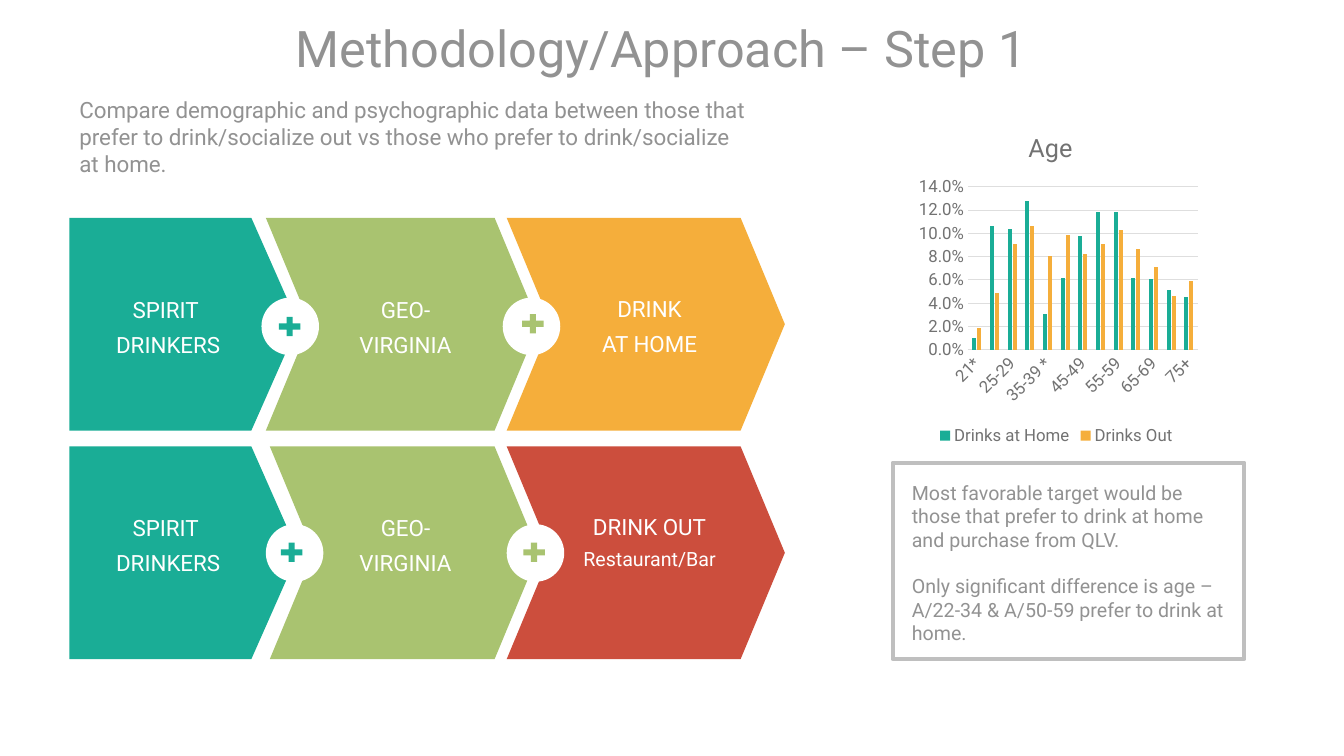
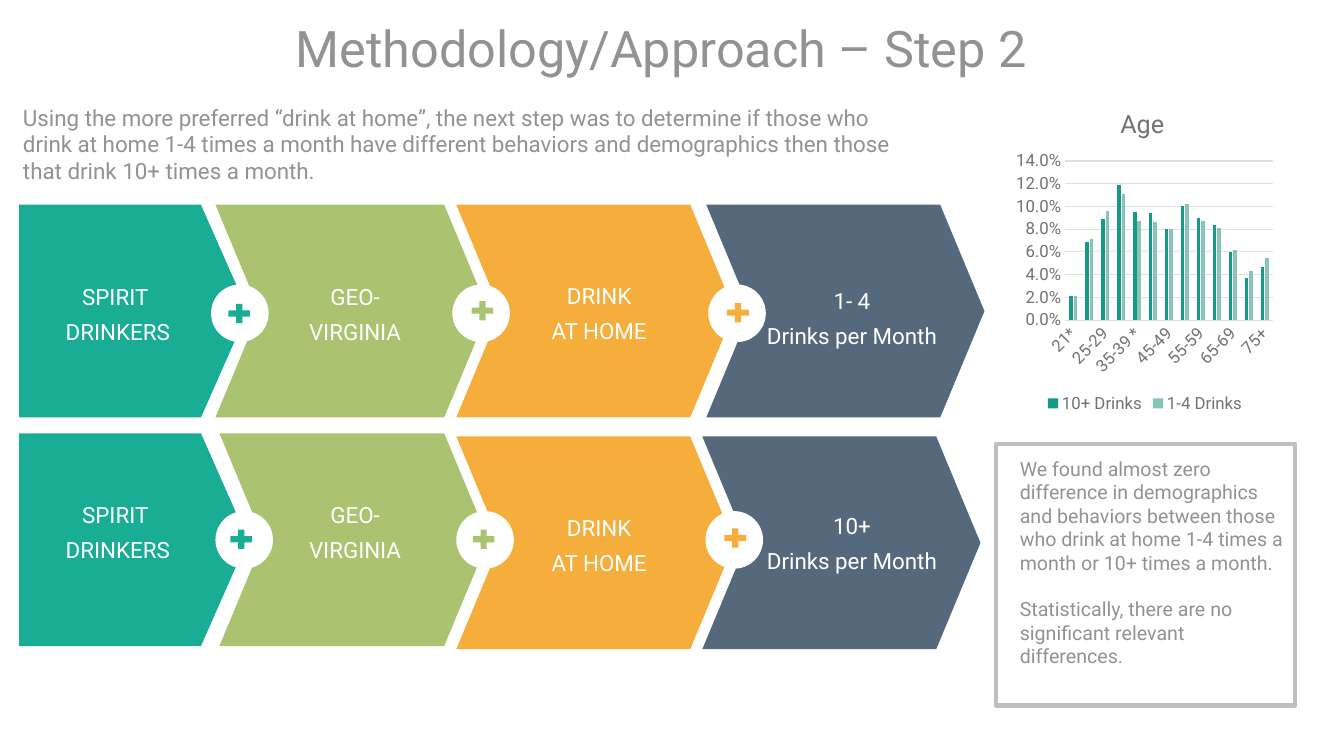
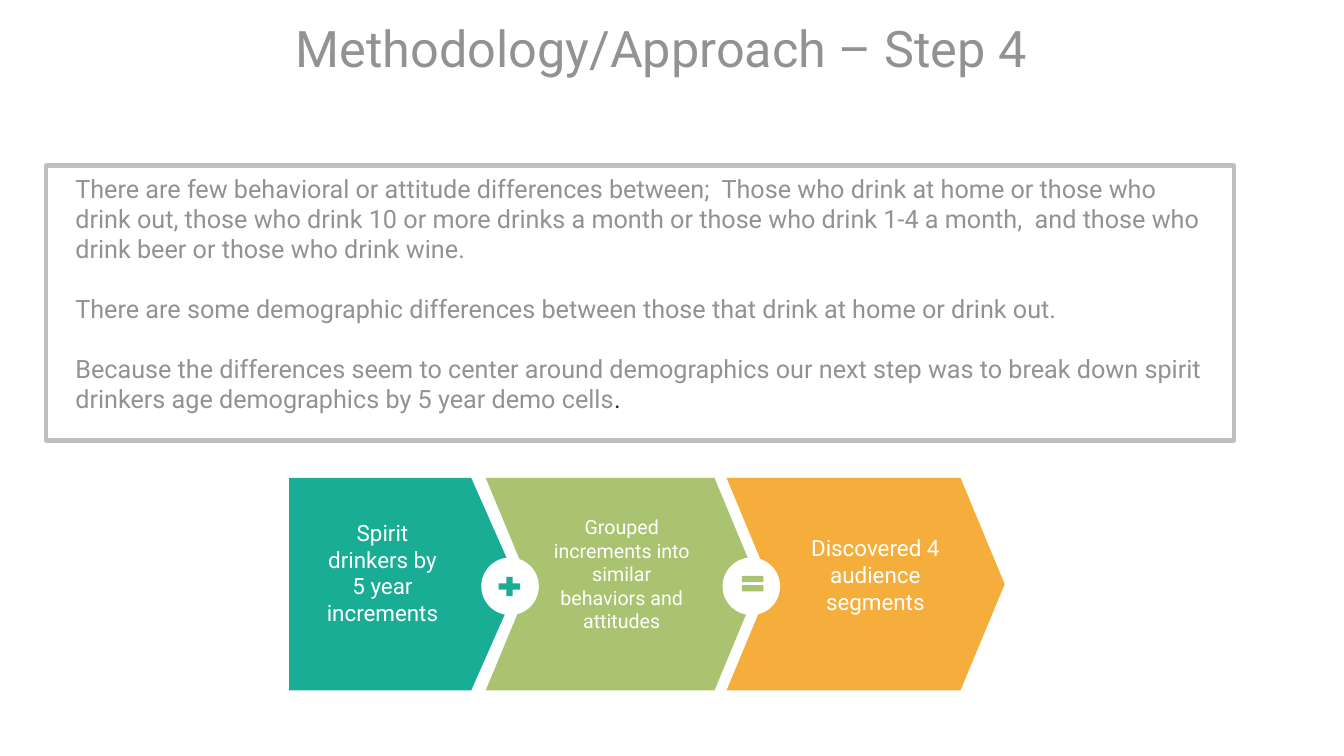
"""Build three methodology slides with step arrows, age charts and findings."""
from lxml.etree import SubElement
from pptx import Presentation
from pptx.chart.data import CategoryChartData as Data
from pptx.dml.color import RGBColor as Rgb
from pptx.enum.chart import XL_CHART_TYPE as Kind, XL_LEGEND_POSITION as Spot, XL_TICK_MARK as Tick
from pptx.enum.shapes import MSO_SHAPE as Form
from pptx.enum.text import MSO_ANCHOR as Anchor, PP_ALIGN as Align
from pptx.oxml.ns import qn
from pptx.util import Cm, Pt

HUES = {
    "teal": "1AAD96", "green": "A9C370", "gold": "F5AE3B", "red": "CC4E3D",
    "slate": "56687C", "white": "FFFFFF", "grey": "929292", "frame": "BFBFBF",
    "dark": "262626", "axis": "727272", "grid": "DEDEDE", "deep": "179A85", "pale": "88C4B5",
}
HUES = {name: Rgb.from_string(code) for name, code in HUES.items()}
FONT = "Roboto"
HEAD = {"alignment": Align.CENTER, "line_spacing": 0.9}
PAIR = {"alignment": Align.CENTER, "line_spacing": 1.3}
MID = {"alignment": Align.CENTER}
AGES = ["21*", "22-24", "25-29", "30-34", "35-39 *", "40-44 *", "45-49",
        "50-54", "55-59", "60-64", "65-69", "70-74", "75+"]

WIDE = {"left": [0, 4.95, 11.02, 17.32], "width": [5.77, 6.88, 7.01, 7.01],
        "ball": [4.84, 10.92, 17.37], "rise": 2.01,
        "mark": [(5.18, 2.41), (11.31, 2.34), (17.75, 2.39)]}
SLIM = {"left": [0, 5.05, 11.02, 17.22], "width": [5.77, 6.78, 7.01, 7.01],
        "ball": [4.95, 11.02, 17.3], "rise": 1.96,
        "mark": [(5.23, 2.34), (11.34, 2.34), (17.68, 2.31)]}
MIDS = [2.49, 8.47, 14.62, 20.99]

SPIRIT = ["SPIRIT ", "DRINKERS"]
GEO = ["GEO-", "VIRGINIA"]
HOME = ["DRINK", "AT HOME"]
OUT = ["DRINK OUT", [("Restaurant/Bar", {"size": Pt(14)})]]
FEW = ["1- 4", "Drinks per Month"]
MANY = ["10+", "Drinks per Month"]

DECK = [
    {"step": 1,
     "intro": ((1.75, 2.31, 17.35, 2.31),
               "Compare demographic and psychographic data between those that prefer to "
               "drink/socialize out vs those who prefer to drink/socialize at home."),
     "frame": (22.5, 11.66, 8.86, 4.95), "body": (22.73, 11.99, 8.41, 4.45), "size": 14,
     "notes": ["Most favorable target would be those that prefer to drink at home and "
               "purchase from QLV.",
               "Only significant difference is age – A/22-34 & A/50-59 prefer to drink at home."],
     "rows": [
         (WIDE, 1.75, 5.49, 0, [("teal", SPIRIT, 1.65), ("green", GEO, 1.65), ("gold", HOME, 1.63)]),
         (SLIM, 1.75, 11.25, 0, [("teal", SPIRIT, 1.37), ("green", GEO, 1.37), ("red", OUT, 1.35)])],
     "chart": ((22.91, 2.95, 7.42, 8.38), [
         ("Drinks at Home", "teal", [0.01, 0.106, 0.104, 0.128, 0.031, 0.062, 0.098,
                                     0.118, 0.118, 0.062, 0.061, 0.051, 0.045]),
         ("Drinks Out", "gold", [0.019, 0.049, 0.091, 0.106, 0.081, 0.099, 0.082,
                                 0.091, 0.103, 0.087, 0.071, 0.046, 0.059])])},
    {"step": 2,
     "intro": ((0.33, 2.49, 22.43, 3.07),
               "Using the more preferred “drink at home”, the next step was to determine if "
               "those who drink at home 1-4 times a month have different behaviors and "
               "demographics then those that drink 10+ times a month."),
     "frame": (25.1, 11.18, 7.54, 6.6), "body": (25.45, 11.38, 7.16, 5.64), "size": 14,
     "notes": ["We found almost zero difference in demographics and behaviors between those "
               "who drink at home 1-4 times a month or 10+ times a month.",
               "Statistically, there are no significant relevant differences."],
     "rows": [
         (WIDE, 0.48, 5.16, 0, [("teal", SPIRIT, 1.65), ("green", GEO, 1.65),
                                ("gold", HOME, 1.63), ("slate", FEW, 1.76)]),
         (SLIM, 0.48, 10.92, 0.08, [("teal", SPIRIT, 1.37), ("green", GEO, 1.37),
                                    ("gold", HOME, 1.7), ("slate", MANY, 1.65)])],
     "chart": ((25.5, 2.34, 6.71, 8.18), [
         ("10+ Drinks", "deep", [0.021, 0.069, 0.089, 0.119, 0.095, 0.094, 0.08,
                                 0.1, 0.09, 0.084, 0.06, 0.037, 0.047]),
         ("1-4 Drinks", "pale", [0.021, 0.071, 0.096, 0.111, 0.087, 0.086, 0.08,
                                 0.102, 0.087, 0.081, 0.062, 0.043, 0.055])])},
    {"step": 4,
     "frame": (1.17, 4.17, 29.92, 6.93), "body": (1.65, 4.24, 28.93, 6.4), "size": 18,
     "notes": ["There are few behavioral or attitude differences between;  Those who drink at "
               "home or those who drink out, those who drink 10 or more drinks a month or those "
               "who drink 1-4 a month,  and those who drink beer or those who drink wine.",
               "There are some demographic differences between those that drink at home or "
               "drink out.",
               [("Because the differences seem to center around demographics our next step was "
                 "to break down spirit drinkers age demographics by 5 year demo cells", {}),
                (".", {"color": "dark"})]],
     "rows": [
         (WIDE, 7.29, 12.04, 0, [
             ("teal", ["Spirit drinkers by 5 year increments"], 0.91, 16, 3.38, 2.35),
             ("green", ["Grouped increments into similar behaviors and attitudes"], 0.81, 14, 4.17, 8.38),
             ("gold", ["Discovered 4 audience segments"], 1.3, 16, 4.39, 14.77)])]},
]


def draw(form, box, fill=None, line=None, adj=None):
    shape = slide.shapes.add_shape(form, *map(Cm, box))
    shape.shadow.inherit = False
    if adj:
        shape.adjustments[0] = adj
    if fill:
        shape.fill.solid()
        shape.fill.fore_color.rgb = HUES[fill]
    else:
        shape.fill.background()
    if line:
        shape.line.color.rgb = HUES[line]
        shape.line.width = Pt(3)
    else:
        shape.line.fill.background()


def write(box, lines, size, color="grey", look={}, wrap=True, gap=0, anchor=Anchor.TOP):
    frame = slide.shapes.add_textbox(*map(Cm, box)).text_frame
    frame.word_wrap = wrap
    frame.vertical_anchor = anchor
    for num, line in enumerate(lines):
        para = frame.add_paragraph() if num else frame.paragraphs[0]
        for key, val in look.items():
            setattr(para, key, val)
        if num and gap:
            para.space_before = Pt(gap)
        for text, extra in [(line, {})] if isinstance(line, str) else line:
            run = para.add_run()
            run.text = text
            style = {"name": FONT, "size": Pt(size), "color": color} | extra
            run.font.color.rgb = HUES[style.pop("color")]
            for key, val in style.items():
                setattr(run.font, key, val)


deck = Presentation()
deck.slide_width, deck.slide_height = Cm(33.87), Cm(19.05)

for page in DECK:
    slide = deck.slides.add_slide(deck.slide_layouts[6])
    write((1.17, 0.38, 30.99, 1.83), [f"Methodology/Approach – Step {page['step']}"],
          36, look=HEAD, anchor=Anchor.MIDDLE)
    draw(Form.RECTANGLE, page["frame"], line="frame")
    write(page["body"], page["notes"], page["size"], gap=round(page["size"] * 1.17, 1))
    if "intro" in page:
        box, text = page["intro"]
        write(box, [text], 16)

    for plan, left, top, drop, steps in page["rows"]:
        for num, (fill, *rest) in enumerate(steps):
            form, adj = (Form.CHEVRON, 0.208) if num else (Form.PENTAGON, 0.221)
            fall = drop if num > 1 else 0
            draw(form, (left + plan["left"][num], top + fall, plan["width"][num], 5.36), fill, adj=adj)
        for num, (fill, *rest) in enumerate(steps[:-1]):
            draw(Form.OVAL, (left + plan["ball"][num], top + plan["rise"], 1.45, 1.45), "white")
            last = page["step"] == 4 and num == len(steps) - 2
            across, down = plan["mark"][num]
            draw(Form.MATH_EQUAL if last else Form.MATH_PLUS,
                 (left + across, top + down, 0.74, 0.66), fill)
        for num, (fill, lines, down, *rest) in enumerate(steps):
            size, width, mid = rest or (16, 4.85, MIDS[num])
            write((left + mid - width / 2, top + down, width, 2.03), lines, size, "white",
                  MID if rest else PAIR, wrap=bool(rest))

    if "chart" not in page:
        continue
    box, sets = page["chart"]
    data = Data(number_format="0.0%")
    data.categories = AGES
    for name, hue, vals in sets:
        data.add_series(name, vals)
    chart = slide.shapes.add_chart(Kind.COLUMN_CLUSTERED, *map(Cm, box), data).chart
    chart.has_title = chart.has_legend = True
    chart.chart_title.text_frame.text = "Age"
    chart.legend.position = Spot.BOTTOM
    chart.legend.include_in_layout = False
    cats, nums = chart.category_axis, chart.value_axis
    title = chart.chart_title.text_frame.paragraphs[0].runs[0].font
    for font, size in [(chart.font, 10), (title, 18), (chart.legend.font, 12),
                       (cats.tick_labels.font, 12), (nums.tick_labels.font, 12)]:
        for key, val in {"name": FONT, "size": Pt(size), "bold": False}.items():
            setattr(font, key, val)
        font.color.rgb = HUES["axis"]
    for axis in (cats, nums):
        axis.major_tick_mark = axis.minor_tick_mark = Tick.NONE
    for line in (cats.format.line, nums.major_gridlines.format.line):
        line.color.rgb = HUES["grid"]
        line.width = Pt(0.75)
    nums.format.line.fill.background()
    for key, val in {"minimum_scale": 0, "maximum_scale": 0.14, "major_unit": 0.02}.items():
        setattr(nums, key, val)
    nums.tick_labels.number_format = "0.0%"
    nums.tick_labels.number_format_is_linked = False
    cats._element.find(qn("c:txPr")).find(qn("a:bodyPr")).set("rot", "-2700000")
    plot = chart.plots[0]
    for key, val in {"gap_width": 219, "overlap": -27, "vary_by_categories": False}.items():
        setattr(plot, key, val)
    for bars, (name, hue, vals) in zip(plot.series, sets):
        bars.format.fill.solid()
        bars.format.fill.fore_color.rgb = HUES[hue]

    area = chart._chartSpace.find(".//" + qn("c:plotArea"))
    for node, slot, spots in [
            (chart.chart_title._element, 1, {"xMode": "edge", "yMode": "edge", "x": 0.39, "y": 0.03}),
            (area, 0, {"layoutTarget": "inner", "xMode": "edge", "yMode": "edge",
                       "x": 0.2, "y": 0.21, "w": 0.78, "h": 0.49})]:
        for old in node.findall(qn("c:layout")):
            node.remove(old)
        layout = SubElement(node, qn("c:layout"))
        hand = SubElement(layout, qn("c:manualLayout"))
        for key, val in spots.items():
            SubElement(hand, qn("c:" + key)).set("val", str(val))
        node.insert(slot, layout)

deck.save("out.pptx")
